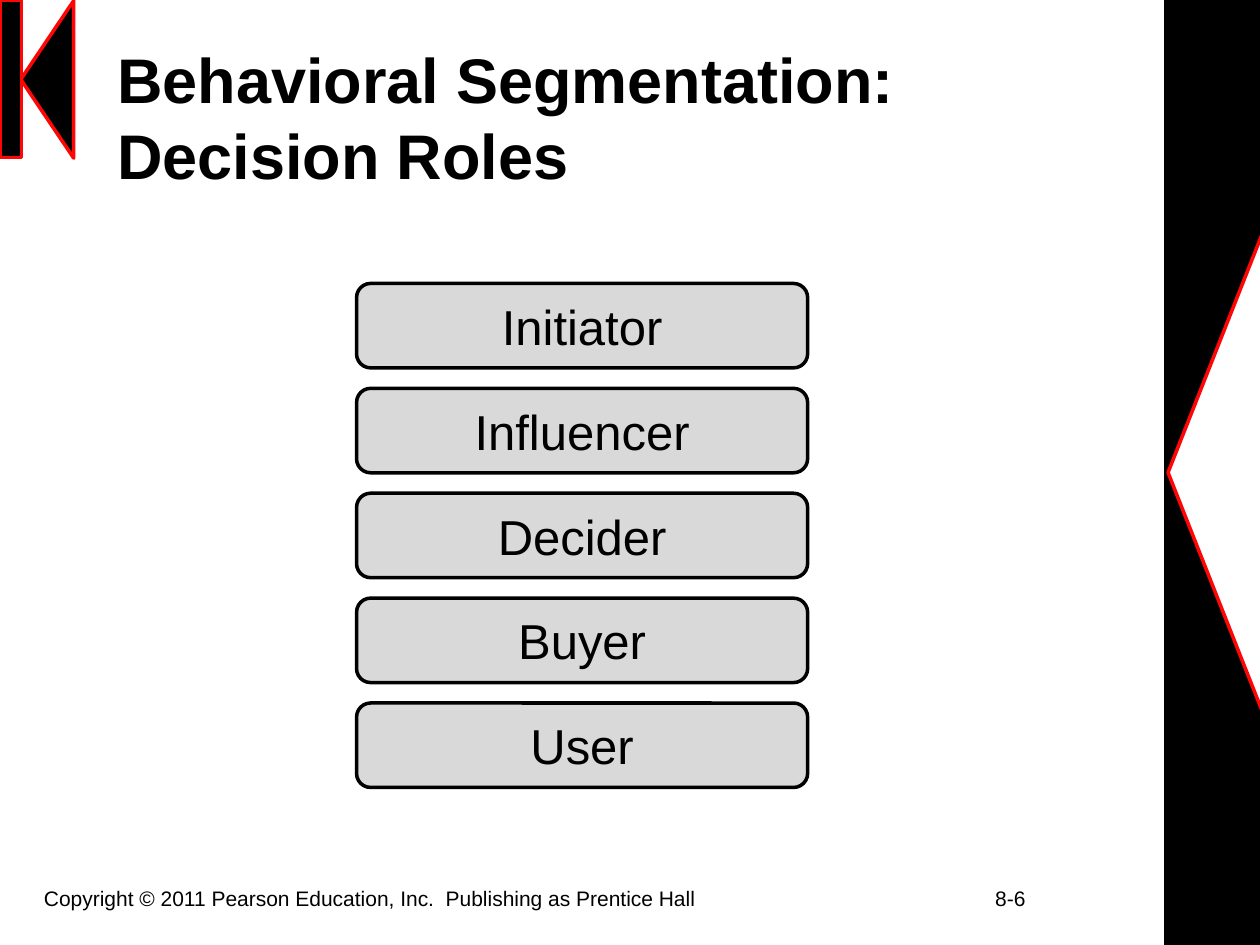
from dataclasses import dataclass

from lxml import etree
from pptx import Presentation
from pptx.dml.color import RGBColor
from pptx.enum.shapes import MSO_SHAPE
from pptx.enum.text import MSO_ANCHOR, MSO_AUTO_SIZE, PP_ALIGN
from pptx.oxml.ns import qn
from pptx.util import Inches, Pt


@dataclass(frozen=True)
class Theme:
    font: str = "Arial"
    black: RGBColor = RGBColor(0x00, 0x00, 0x00)
    white: RGBColor = RGBColor(0xFF, 0xFF, 0xFF)
    red: RGBColor = RGBColor(0xFF, 0x05, 0x05)
    gray: RGBColor = RGBColor(0xD9, 0xD9, 0xD9)
    title_size: Pt = Pt(36)
    role_size: Pt = Pt(28)
    footer_size: Pt = Pt(12)
    line_width: Pt = Pt(2)


theme = Theme()


def add_box(kind, left, top, width, height, fill, line):
    """Add a filled, outlined shape; lengths are in inches."""
    s = slide.shapes.add_shape(
        kind, Inches(left), Inches(top), Inches(width), Inches(height))
    s.shadow.inherit = False
    s.fill.solid()
    s.fill.fore_color.rgb = fill
    s.line.color.rgb = line
    s.line.width = theme.line_width
    return s


def style(p, size, align=PP_ALIGN.LEFT, bold=False):
    p.alignment = align
    p.font.name = theme.font
    p.font.size = size
    p.font.bold = bold
    p.font.color.rgb = theme.black


prs = Presentation()
prs.slide_width = Inches(10)
prs.slide_height = Inches(7.5)
slide = prs.slides.add_slide(prs.slide_layouts[5])

# Side band and corner ornament
add_box(MSO_SHAPE.RECTANGLE, 9.25, 0, 0.75, 7.5, theme.black, theme.black)
notch = add_box(MSO_SHAPE.ISOSCELES_TRIANGLE, 6.26, 3.01, 7.5, 1.48, theme.white, theme.red)
arrow = add_box(MSO_SHAPE.ISOSCELES_TRIANGLE, -0.25, 0.42, 1.25, 0.42, theme.black, theme.red)
for s in (notch, arrow):
    s.rotation = 270
add_box(MSO_SHAPE.RECTANGLE, 0, 0, 0.17, 1.25, theme.black, theme.red)

# Footer, with the page number on a tab stop
footer = slide.shapes.add_textbox(Inches(0.25), Inches(6.98), Inches(9.42), Inches(0.52))
tf = footer.text_frame
tf.word_wrap = True
p = tf.paragraphs[0]
p.text = "Copyright © 2011 Pearson Education, Inc.  Publishing as Prentice Hall\t8-6"
tabs = etree.SubElement(p._p.get_or_add_pPr(), qn("a:tabLst"))
etree.SubElement(tabs, qn("a:tab"), pos=str(Inches(7.55)), algn="l")
style(p, theme.footer_size)

# Title
title = slide.shapes.title
title.left, title.top = Inches(0.83), Inches(0.3)
title.width, title.height = Inches(8.42), Inches(1.25)
tf = title.text_frame
tf.text = "Behavioral Segmentation: Decision Roles"
tf.word_wrap = True
tf.auto_size = MSO_AUTO_SIZE.NONE
tf.vertical_anchor = MSO_ANCHOR.MIDDLE
style(tf.paragraphs[0], theme.title_size, bold=True)

# Decision roles, evenly stacked
first_top, last_top = 2.25, 5.58
roles = ["Initiator", "Influencer", "Decider", "Buyer", "User"]
pitch = (last_top - first_top) / (len(roles) - 1)
for i, role in enumerate(roles):
    s = add_box(MSO_SHAPE.ROUNDED_RECTANGLE, 2.83, first_top + i * pitch, 3.58, 0.67,
                theme.gray, theme.black)
    tf = s.text_frame
    tf.text = role
    tf.vertical_anchor = MSO_ANCHOR.MIDDLE
    style(tf.paragraphs[0], theme.role_size, PP_ALIGN.CENTER)

prs.save("out.pptx")
